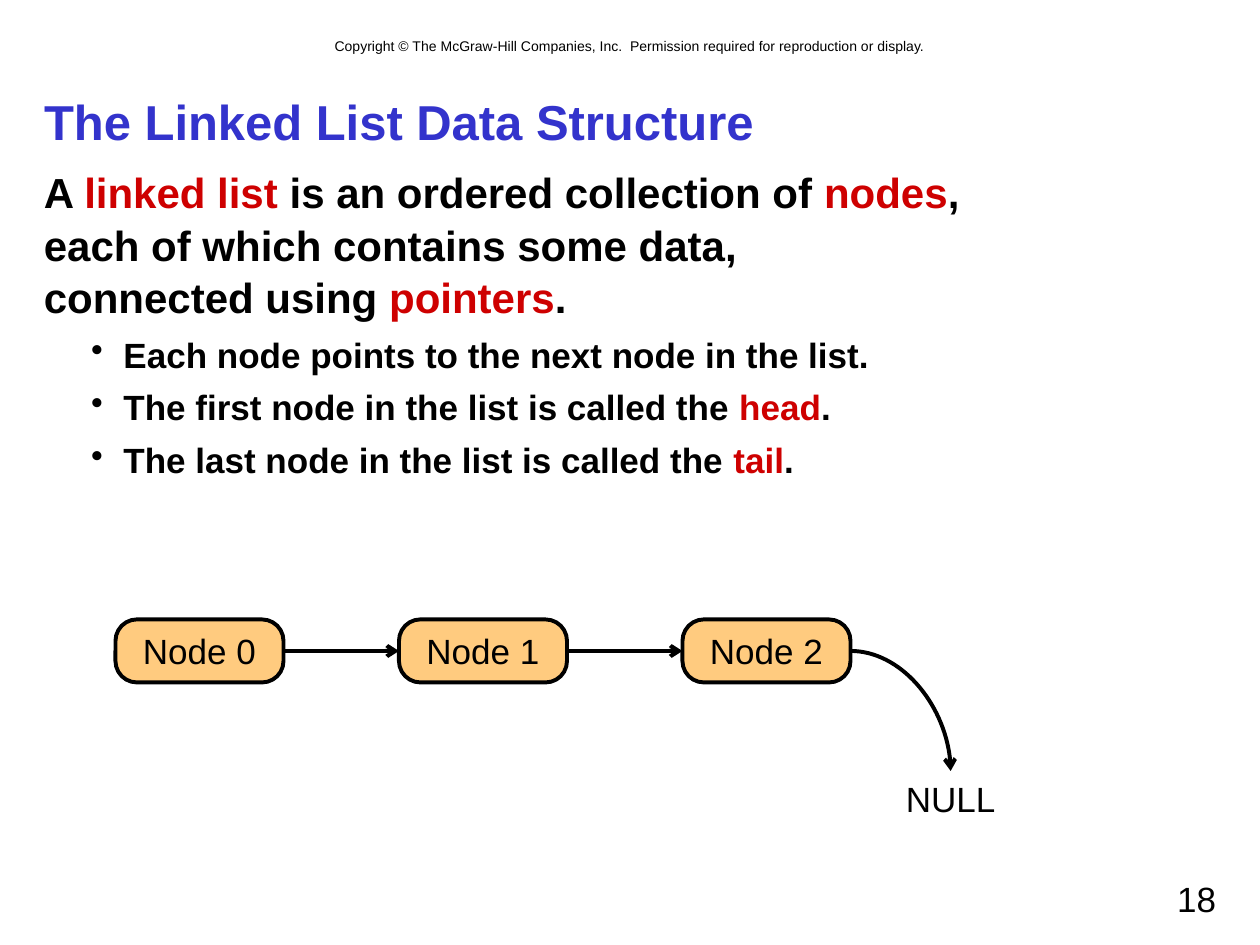
from dataclasses import dataclass

from lxml import etree
from pptx import Presentation
from pptx.dml.color import RGBColor
from pptx.enum.shapes import MSO_CONNECTOR, MSO_SHAPE
from pptx.enum.text import MSO_ANCHOR, MSO_AUTO_SIZE, PP_ALIGN
from pptx.oxml.ns import qn
from pptx.util import Pt

LEFT, CENTER, RIGHT = PP_ALIGN.LEFT, PP_ALIGN.CENTER, PP_ALIGN.RIGHT
MIDDLE, NO_FIT = MSO_ANCHOR.MIDDLE, MSO_AUTO_SIZE.NONE
ROUNDED = MSO_SHAPE.ROUNDED_RECTANGLE
STRAIGHT, CURVE = MSO_CONNECTOR.STRAIGHT, MSO_CONNECTOR.CURVE
TOP_SIDE, LEFT_SIDE, RIGHT_SIDE = 0, 1, 3

FONT = "Arial"
COLORS = {"text": "000000", "title": "3333CC", "key": "CE0000", "node": "FF9900"}
NODE_LEFT, NODE_TOP, NODE_STEP = 66, 354, 162
NODE_WIDTH, NODE_HEIGHT = 96, 36
STROKE = 2.25


@dataclass
class Style:
    size: float
    bold: bool = False
    color: str = "text"
    align: PP_ALIGN = LEFT


@dataclass
class Box:
    left: float
    top: float
    width: float
    height: float

    def points(self) -> list:
        return [Pt(v) for v in (self.left, self.top, self.width, self.height)]


# Each piece of text is paired with its colour; "\n" is a line break.
INTRO = [
    ("A ", "text"), ("linked list", "key"),
    (" is an ordered collection of ", "text"), ("nodes", "key"),
    (",\neach of which contains some data,\nconnected using ", "text"),
    ("pointers", "key"), (".", "text"),
]
BULLETS = [
    [("Each node points to the next node in the list.", "text")],
    [("The first node in the list is called the ", "text"), ("head", "key"), (".", "text")],
    [("The last node in the list is called the ", "text"), ("tail", "key"), (".", "text")],
]


def rgb(name: str) -> RGBColor:
    return RGBColor.from_string(COLORS[name])


def add_runs(para, pieces: list, style: Style) -> None:
    para.alignment = style.align
    for text, color in pieces:
        for i, line in enumerate(text.split("\n")):
            if i:
                para.add_line_break()
            run = para.add_run()
            run.text = line
            font = run.font
            font.name, font.size, font.bold = FONT, Pt(style.size), style.bold
            font.color.rgb = rgb(color)


def add_label(slide, box: Box, text: str, style: Style, wrap: bool = True):
    shape = slide.shapes.add_textbox(*box.points())
    shape.text_frame.word_wrap = wrap
    add_runs(shape.text_frame.paragraphs[0], [(text, style.color)], style)
    return shape


def add_title(slide, box: Box, text: str, style: Style) -> None:
    title = slide.shapes.title
    title.left, title.top, title.width, title.height = box.points()
    frame = title.text_frame
    frame.auto_size, frame.vertical_anchor = NO_FIT, MIDDLE
    add_runs(frame.paragraphs[0], [(text, style.color)], style)


def add_bullet(para) -> None:
    props = para._p.get_or_add_pPr()
    props.set("marL", str(Pt(45.5)))
    props.set("indent", str(-Pt(18.5)))
    color = etree.SubElement(props, qn("a:buClr"))
    etree.SubElement(color, qn("a:srgbClr"), val=COLORS["text"])
    etree.SubElement(props, qn("a:buChar"), char="•")


def add_body(slide, box: Box) -> None:
    frame = slide.shapes.add_textbox(*box.points()).text_frame
    frame.word_wrap = True
    intro = frame.paragraphs[0]
    intro.line_spacing = 1.05
    add_runs(intro, INTRO, Style(24, bold=True))
    for pieces in BULLETS:
        para = frame.add_paragraph()
        para.level = 1
        add_bullet(para)
        para.space_before, para.line_spacing = Pt(5), 1.05
        add_runs(para, pieces, Style(20, bold=True))


def add_node(slide, index: int, style: Style):
    box = Box(NODE_LEFT + index * NODE_STEP, NODE_TOP, NODE_WIDTH, NODE_HEIGHT)
    node = slide.shapes.add_shape(ROUNDED, *box.points())
    node.adjustments[0] = 0.34
    node.shadow.inherit = False
    node.fill.solid()
    node.fill.fore_color.rgb = rgb("node")
    color = node._element.spPr.find(qn("a:solidFill")).find(qn("a:srgbClr"))
    etree.SubElement(color, qn("a:alpha"), val="50000")
    node.line.color.rgb = rgb("text")
    node.line.width = Pt(STROKE)
    frame = node.text_frame
    frame.word_wrap, frame.vertical_anchor = False, MIDDLE
    add_runs(frame.paragraphs[0], [(f"Node {index}", style.color)], style)
    return node


def add_arrow(slide, start, end, kind=STRAIGHT, side: int = LEFT_SIDE):
    """Point from the right side of start to the given side of end."""
    arrow = slide.shapes.add_connector(kind, 0, 0, 0, 0)
    arrow.begin_connect(start, RIGHT_SIDE)
    arrow.end_connect(end, side)
    arrow.line.color.rgb = rgb("text")
    arrow.line.width = Pt(STROKE)
    props = arrow._element.spPr
    etree.SubElement(props.find(qn("a:ln")), qn("a:tailEnd"), type="arrow")
    etree.SubElement(props, qn("a:effectLst"))
    return arrow


def main() -> None:
    deck = Presentation()
    deck.slide_width, deck.slide_height = Pt(720), Pt(540)
    slide = deck.slides.add_slide(deck.slide_layouts[5])

    notice = "Copyright © The McGraw-Hill Companies, Inc.  Permission required for reproduction or display."
    add_label(slide, Box(48, 18, 624, 17), notice, Style(8, align=CENTER))
    add_title(slide, Box(18, 48, 684, 42), "The Linked List Data Structure",
              Style(28, bold=True, color="title"))
    add_body(slide, Box(18, 90, 684, 390))

    label = Style(20, align=CENTER)
    nodes = [add_node(slide, i, label) for i in range(3)]
    for start, end in zip(nodes, nodes[1:]):
        add_arrow(slide, start, end)
    null = add_label(slide, Box(510.5, 440.6, 65.5, 31.5), "NULL", label, wrap=False)
    curve = add_arrow(slide, nodes[-1], null, CURVE, TOP_SIDE)
    curve._element.spPr.find(qn("a:prstGeom")).set("prst", "curvedConnector2")

    add_label(slide, Box(516, 498, 186, 30), "18", Style(20, align=RIGHT))
    deck.save("out.pptx")


if __name__ == "__main__":
    main()
